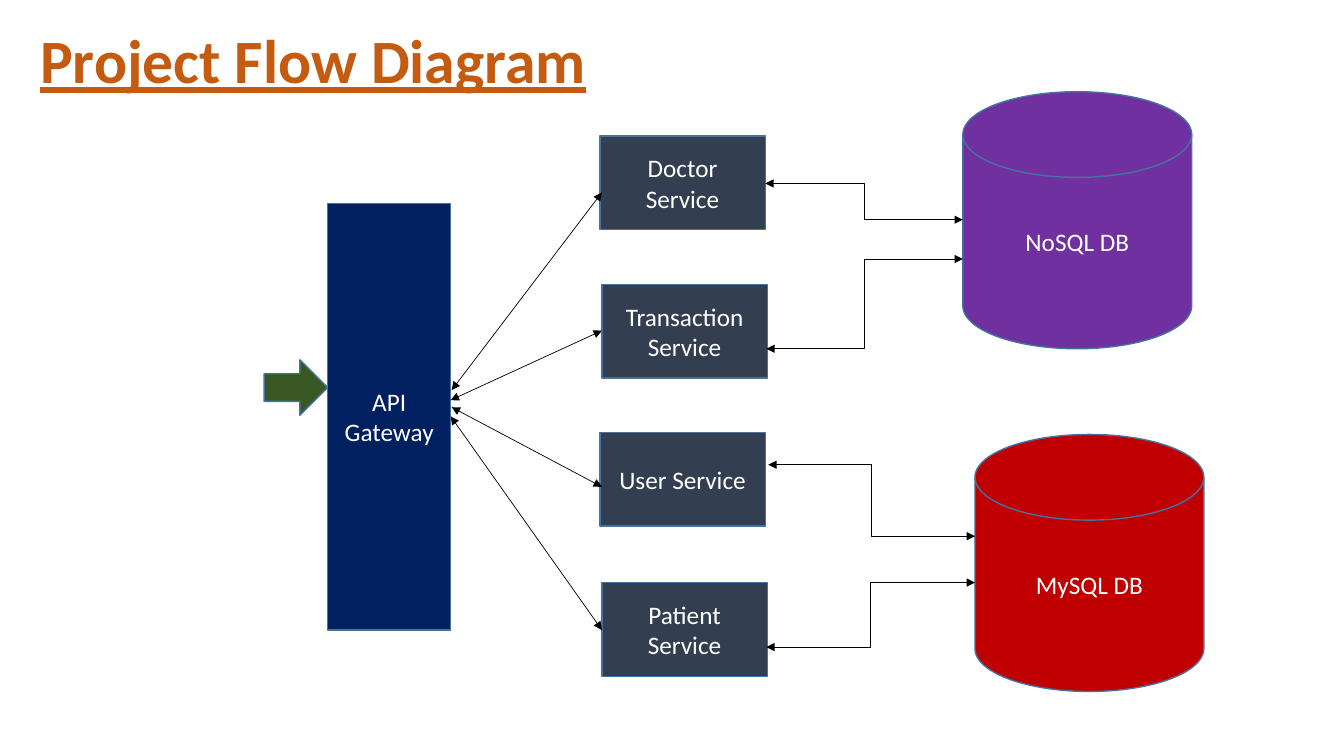
from lxml import etree
from pptx import Presentation
from pptx.dml.color import RGBColor
from pptx.enum.shapes import MSO_CONNECTOR, MSO_SHAPE
from pptx.enum.text import MSO_ANCHOR, PP_ALIGN
from pptx.oxml.ns import qn
from pptx.util import Pt

EMU_PER_PX = 9144
RECTANGLE = MSO_SHAPE.RECTANGLE
RIGHT_ARROW = MSO_SHAPE.RIGHT_ARROW
DISK = MSO_SHAPE.FLOWCHART_MAGNETIC_DISK
STRAIGHT = MSO_CONNECTOR.STRAIGHT
ELBOW = MSO_CONNECTOR.ELBOW
CENTER = PP_ALIGN.CENTER
MIDDLE = MSO_ANCHOR.MIDDLE

COLORS = {
    "title": "C55A11",
    "gateway": "002060",
    "request": "385723",
    "service": "333F50",
    "document": "7030A0",
    "mysql": "C00000",
    "outline": "43739E",
    "label": "FFFFFF",
    "connector": "000000",
}
TITLE_FORMAT = {"name": "Calibri", "size": Pt(44), "bold": True, "underline": True}
LABEL_FORMAT = {"name": "Calibri", "size": Pt(18)}


def px(*lengths):
    return [length * EMU_PER_PX for length in lengths]


def format_font(font, settings, color):
    for name, value in settings.items():
        setattr(font, name, value)
    font.color.rgb = RGBColor.from_string(COLORS[color])


presentation = Presentation()
presentation.slide_width, presentation.slide_height = px(1333, 750)
slide = presentation.slides.add_slide(presentation.slide_layouts[6])

title = slide.shapes.add_textbox(*px(30, 3, 1150, 120))
title.text_frame.word_wrap = True
title.text_frame.vertical_anchor = MIDDLE
title_paragraph = title.text_frame.paragraphs[0]
title_paragraph.text = "Project Flow Diagram"
title_paragraph.line_spacing = 0.9
format_font(title_paragraph.runs[0].font, TITLE_FORMAT, "title")

service_size = (164, 93)
database_size = (227, 255)
nodes = [
    (RECTANGLE, (325, 202), (122, 423), "gateway", ["API Gateway"]),
    (RIGHT_ARROW, (262, 357), (63, 55), "request", []),
    (RECTANGLE, (595, 135), service_size, "service", ["Doctor Service"]),
    (RECTANGLE, (597, 282), service_size, "service", ["Transaction", "Service"]),
    (RECTANGLE, (595, 429), service_size, "service", ["User Service"]),
    (RECTANGLE, (597, 578), service_size, "service", ["Patient Service"]),
    (DISK, (955, 91), database_size, "document", ["NoSQL DB"]),
    (DISK, (967, 431), database_size, "mysql", ["MySQL DB"]),
]
for kind, position, size, color, lines in nodes:
    shape = slide.shapes.add_shape(kind, *px(*position, *size))
    shape.shadow.inherit = False
    shape.fill.solid()
    shape.fill.fore_color.rgb = RGBColor.from_string(COLORS[color])
    shape.line.color.rgb = RGBColor.from_string(COLORS["outline"])
    shape.line.width = Pt(1)
    if lines:
        text_frame = shape.text_frame
        text_frame.word_wrap = True
        text_frame.vertical_anchor = MIDDLE
        text_frame.text = "\n".join(lines)
        for paragraph in text_frame.paragraphs:
            paragraph.alignment = CENTER
            format_font(paragraph.runs[0].font, LABEL_FORMAT, "label")

links = [
    (STRAIGHT, (448, 387), (597, 191)),
    (STRAIGHT, (447, 397), (597, 328)),
    (STRAIGHT, (448, 404), (597, 483)),
    (STRAIGHT, (447, 413), (597, 625)),
    (ELBOW, (759, 182), (955, 218)),
    (ELBOW, (760, 346), (955, 257)),
    (ELBOW, (762, 461), (967, 532)),
    (ELBOW, (760, 642), (967, 578)),
]
for kind, start, end in links:
    connector = slide.shapes.add_connector(kind, *px(*start, *end))
    connector.line.color.rgb = RGBColor.from_string(COLORS["connector"])
    connector.line.width = Pt(0.5)
    properties = connector._element.spPr
    outline = properties.find(qn("a:ln"))
    for arrowhead in ("a:headEnd", "a:tailEnd"):
        etree.SubElement(outline, qn(arrowhead), type="triangle")
    etree.SubElement(properties, qn("a:effectLst"))

presentation.save("out.pptx")
